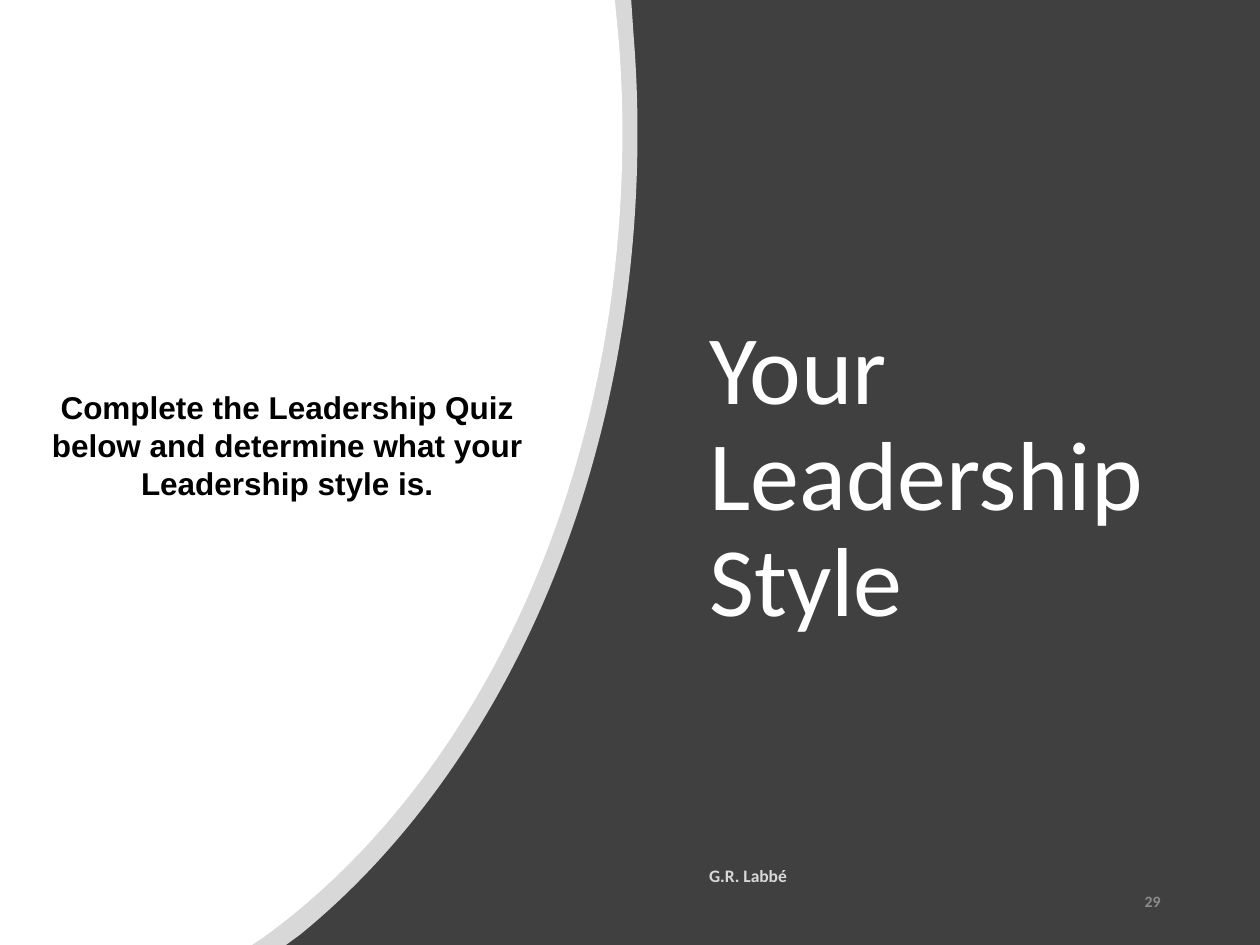
from pptx import Presentation
from pptx.dml.color import RGBColor
from pptx.enum.shapes import MSO_SHAPE
from pptx.enum.text import MSO_ANCHOR, MSO_AUTO_SIZE, PP_ALIGN
from pptx.oxml.ns import qn
from pptx.util import Inches, Pt
from lxml import etree

WHITE = RGBColor(0xFF, 0xFF, 0xFF)
BLACK = RGBColor(0x00, 0x00, 0x00)
CHARCOAL = RGBColor(0x40, 0x40, 0x40)
GREY = RGBColor(0x8C, 0x8C, 0x8C)
RECTANGLE = MSO_SHAPE.RECTANGLE
TOP, MIDDLE, BOTTOM = MSO_ANCHOR.TOP, MSO_ANCHOR.MIDDLE, MSO_ANCHOR.BOTTOM
LEFT, CENTER, RIGHT = PP_ALIGN.LEFT, PP_ALIGN.CENTER, PP_ALIGN.RIGHT
NO_FIT = MSO_AUTO_SIZE.NONE
EDGE_CURVES = [
    [(5.05, 0.54), (5.06, 0.8), (5.06, 1.05)],
    [(5.06, 3.75), (3.99, 6.11), (2.38, 7.42)],
]
PANEL_CURVES = [
    [(4.93, 0.55), (4.94, 0.8), (4.94, 1.05)],
    [(4.94, 3.81), (3.79, 6.21), (2.09, 7.44)],
]


def set_alpha(fill_parent, percent):
    color = next(fill_parent.iter(qn("a:srgbClr")))
    etree.SubElement(color, qn("a:alpha")).set("val", str(percent * 1000))


def style_shape(sp, color):
    sp.shadow.inherit = False
    sp.fill.solid()
    sp.fill.fore_color.rgb = color
    sp.line.fill.background()


def add_background(s, width, height):
    sp = s.shapes.add_shape(RECTANGLE, 0, 0, width, height)
    style_shape(sp, CHARCOAL)


def bend_segment(segment, controls):
    segment.tag = qn("a:cubicBezTo")
    for point in list(segment):
        segment.remove(point)
    for x, y in controls:
        point = etree.SubElement(segment, qn("a:pt"))
        point.set("x", str(Inches(x)))
        point.set("y", str(Inches(y)))


def add_curved_panel(s, top_x, curve_start, curves, bottom_x):
    ends = [controls[-1] for controls in curves]
    points = [(top_x, 0), curve_start, *ends, (bottom_x, 7.5), (0, 7.5)]
    builder = s.shapes.build_freeform(0, 0)
    builder.add_line_segments([(Inches(x), Inches(y)) for x, y in points], close=True)
    sp = builder.convert_to_shape()
    segments = list(sp._element.spPr.iter(qn("a:lnTo")))
    for segment, controls in zip(segments[2:], curves):
        bend_segment(segment, controls)
    style_shape(sp, WHITE)
    return sp


def write_text(sp, lines, anchor, align, color, size, font_name="Calibri", bold=False):
    tf = sp.text_frame
    tf.word_wrap = True
    tf.auto_size = NO_FIT
    tf.vertical_anchor = anchor
    tf.text = "\n".join(lines)
    values = {"name": font_name, "size": Pt(size), "bold": bold}
    for p in tf.paragraphs:
        p.alignment = align
        for r in p.runs:
            for key, value in values.items():
                setattr(r.font, key, value)
            r.font.color.rgb = color
    return tf


def add_text(s, box, *args, **kwargs):
    sp = s.shapes.add_textbox(*map(Inches, box))
    return write_text(sp, *args, **kwargs)


def place_title(s, box, text):
    title = s.shapes.title
    s.shapes._spTree.append(title._element)
    title.left, title.top, title.width, title.height = map(Inches, box)
    tf = write_text(title, [text], BOTTOM, LEFT, WHITE, 56)
    tf.paragraphs[0].line_spacing = 0.9


def main():
    prs = Presentation()
    prs.slide_width, prs.slide_height = Inches(10), Inches(7.5)
    s = prs.slides.add_slide(prs.slide_layouts[5])
    add_background(s, prs.slide_width, prs.slide_height)
    place_title(s, (5.53, 1.95, 3.81, 3.16), "Your\vLeadership Style")
    edge = add_curved_panel(s, 5.01, (5.03, 0.29), EDGE_CURVES, 2.27)
    set_alpha(edge._element.spPr, 80)
    add_curved_panel(s, 4.88, (4.91, 0.31), PANEL_CURVES, 2)

    author = add_text(s, (5.53, 6.78, 3.49, 0.34), ["G.R. Labbé"],
                      MIDDLE, LEFT, WHITE, 10, bold=True)
    author.paragraphs[0].space_after = Pt(6)
    set_alpha(author.paragraphs[0].runs[0]._r, 80)
    add_text(s, (0.03, 3.03, 4.5, 1.01),
             ["Complete the Leadership Quiz",
              "below and determine what your Leadership style is."],
             TOP, CENTER, BLACK, 18, font_name="Arial", bold=True)
    add_text(s, (7.06, 6.95, 2.25, 0.4), ["29"], MIDDLE, RIGHT, GREY, 9, bold=True)
    prs.save("out.pptx")


if __name__ == "__main__":
    main()
